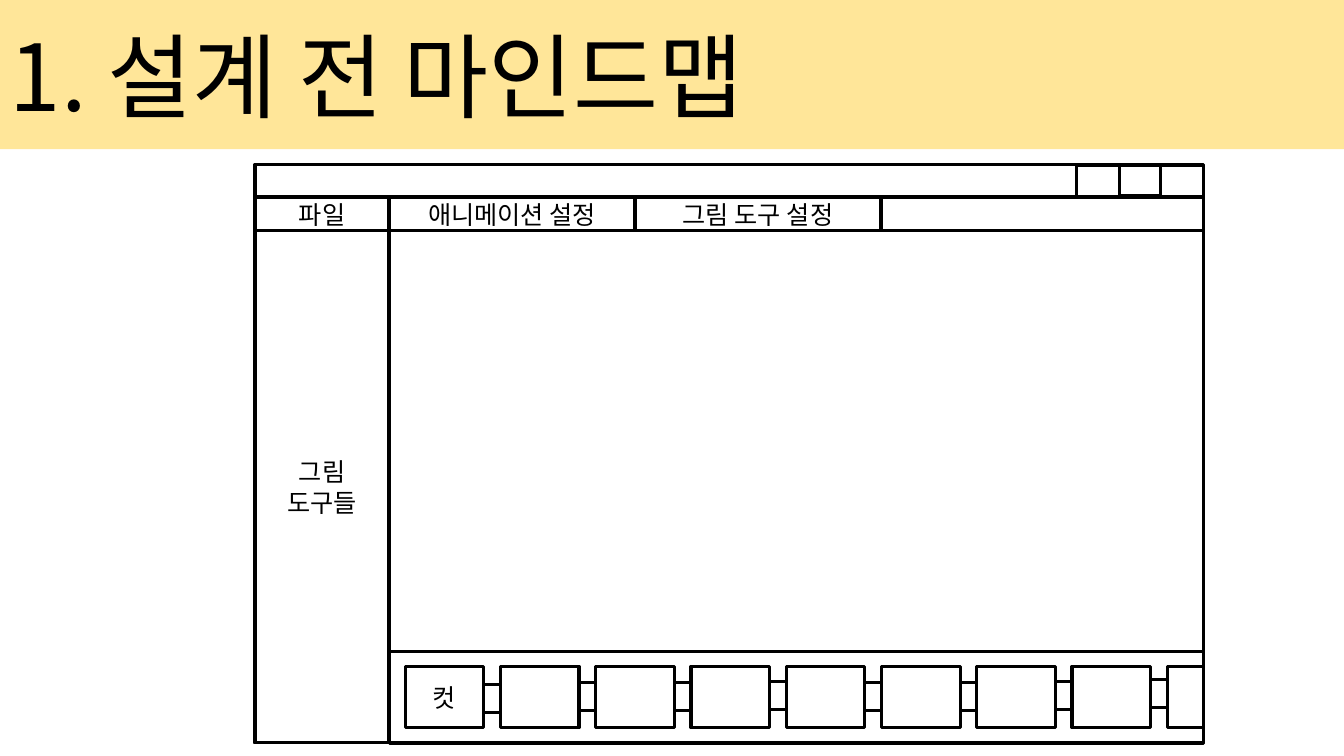
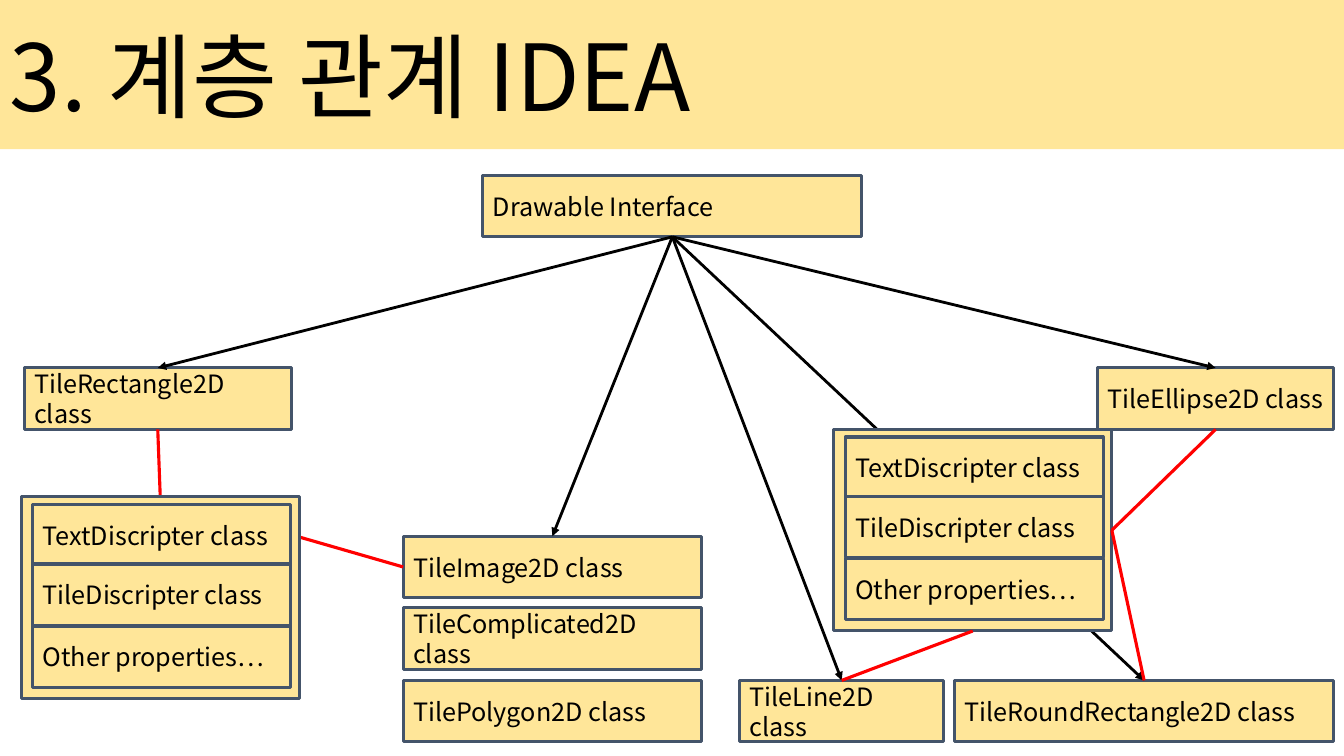
from lxml.etree import SubElement
from pptx import Presentation
from pptx.dml.color import RGBColor
from pptx.enum.shapes import MSO_CONNECTOR as Connector, MSO_SHAPE as Shape
from pptx.enum.text import MSO_ANCHOR as Anchor, PP_ALIGN as Align
from pptx.oxml.ns import qn
from pptx.util import Inches, Pt

BLACK = RGBColor(0x00, 0x00, 0x00)
RED = RGBColor(0xFF, 0x00, 0x00)
SAND = RGBColor(0xFF, 0xE6, 0x99)
SLATE = RGBColor(0x44, 0x54, 0x6A)
FONT = "Noto Sans CJK KR"
CELL = Inches(0.1)
COLUMNS, ROWS = 133.33, 75
BAND_ROWS = 14.8
BOX_ROWS = 6.1
TOP, LEFT, BOTTOM, RIGHT = range(4)
FRAME_FORMAT = {"word_wrap": True, "vertical_anchor": Anchor.MIDDLE}


def cells(*counts):
    return [int(count * CELL) for count in counts]


def set_format(target, values):
    for name, value in values.items():
        setattr(target, name, value)


class Sketch:
    def __init__(self):
        self.deck = Presentation()
        self.deck.slide_width, self.deck.slide_height = cells(COLUMNS, ROWS)
        self.page = None

    def add_page(self, title):
        self.page = self.deck.slides.add_slide(self.deck.slide_layouts[6])
        self.box(0, 0, COLUMNS, BAND_ROWS, title, fill=SAND, line=None, size=66)

    def box(self, column, row, width, height, text="", fill=None, line=BLACK,
            size=18, align=Align.LEFT):
        box = self.page.shapes.add_shape(
            Shape.RECTANGLE, *cells(column, row, width, height))
        box.shadow.inherit = False
        if fill is None:
            box.fill.background()
        else:
            box.fill.solid()
            box.fill.fore_color.rgb = fill
        if line is None:
            box.line.fill.background()
        else:
            box.line.color.rgb = line
            box.line.width = Pt(2.25)
        if text:
            self.add_text(box, text, size, align)
        return box

    def add_text(self, box, text, size, align):
        set_format(box.text_frame, FRAME_FORMAT)
        para = box.text_frame.paragraphs[0]
        para.alignment = align
        span = para.add_run()
        span.text = text
        set_format(span.font, {"name": FONT, "size": Pt(size)})
        span.font.color.rgb = BLACK
        SubElement(span.font._element, qn("a:ea"), typeface=FONT)

    def label(self, column, row, width, height, text):
        return self.box(column, row, width, height, text, align=Align.CENTER)

    def card(self, column, row, width, text="", height=BOX_ROWS):
        return self.box(column, row, width, height, text, fill=SAND, line=SLATE)

    def panel(self, column, row):
        frame = self.card(column, row, 27.6, height=20)
        parts = {"TextDiscripter class": 0.75, "TileDiscripter class": 6.65,
                 "Other properties…": 12.8}
        for text, offset in parts.items():
            self.card(column + 1.15, row + offset, 25.6, text)
        return frame

    def join(self, start, start_side, end, end_side, color, weight, arrow=False):
        line = self.page.shapes.add_connector(Connector.STRAIGHT, 0, 0, 0, 0)
        line.begin_connect(start, start_side)
        line.end_connect(end, end_side)
        line.line.color.rgb = color
        line.line.width = Pt(weight)
        shape_format = line._element.spPr
        if arrow:
            SubElement(shape_format.find(qn("a:ln")), qn("a:tailEnd"), type="triangle")
        SubElement(shape_format, qn("a:effectLst"))
        return line

    def arrow(self, parent, child):
        return self.join(parent, BOTTOM, child, TOP, BLACK, 2, arrow=True)

    def tie(self, owner, owner_side, panel, panel_side):
        return self.join(owner, owner_side, panel, panel_side, RED, 2.25)


def draw_mockup(sketch):
    sketch.add_page("1. 설계 전 마인드맵")
    left, menu, canvas, width = 25.3, 19.6, 22.9, 94.1
    sidebar = 13.3
    for area in [(left, menu, width, 54.1), (left, 16.3, width, 3.2),
                 (106.8, 16.4, 12.6, 3.1), (111.1, 16.3, 4, 3.1),
                 (left, menu, width, 3.3),
                 (left + sidebar, 64.6, width - sidebar, 9.2)]:
        sketch.box(*area)

    column = left
    for text, tab_width in [("파일", sidebar), ("애니메이션 설정", 24.4),
                            ("그림 도구 설정", 24.4)]:
        sketch.label(column, menu, tab_width, 3.3, text)
        column += tab_width
    sketch.label(left, canvas, sidebar, 50.8, "그림 도구들")

    first_cut, pitch, cut_width, cut_row = 40.2, 9.45, 7.8, 66.1
    joint_rows = [67.9, 67.7, 67.7, 67.6, 67.7, 67.7, 67.6, 67.4]
    for index, joint_row in enumerate(joint_rows):
        cut = first_cut + index * pitch
        sketch.label(cut, cut_row, cut_width, BOX_ROWS, "" if index else "컷")
        sketch.box(cut + cut_width, joint_row, pitch - cut_width, 2.8)
    sketch.box(first_cut + len(joint_rows) * pitch, cut_row, 3.6, BOX_ROWS)


def draw_hierarchy(sketch):
    sketch.add_page("3. 계층 관계 IDEA")
    upper, lower, middle = 36.5, 67.5, 40
    sketch.card(middle, 60.3, 29.6, "TileComplicated2D class")
    ellipse = sketch.card(108.9, upper, 23.4, "TileEllipse2D class")
    image = sketch.card(middle, 53.2, 29.6, "TileImage2D class")
    line = sketch.card(73.4, lower, 20.2, "TileLine2D class")
    sketch.card(middle, lower, 29.6, "TilePolygon2D class")
    rectangle = sketch.card(2.4, upper, 26.5, "TileRectangle2D class")
    rounded = sketch.card(94.7, lower, 37.6, "TileRoundRectangle2D class")
    drawable = sketch.card(47.9, 17.4, 37.6, "Drawable Interface")

    for child in (rectangle, image, line, rounded, ellipse):
        sketch.arrow(drawable, child)

    left_panel = sketch.panel(2.1, 49.3)
    for owner, side in [(rectangle, BOTTOM), (image, LEFT)]:
        tie = sketch.tie(owner, side, left_panel, TOP)
        left_panel._element.addprevious(tie._element)

    right_panel = sketch.panel(82.7, 42.6)
    for owner, side, panel_side in [(ellipse, BOTTOM, RIGHT), (rounded, TOP, RIGHT),
                                    (line, TOP, BOTTOM)]:
        sketch.tie(owner, side, right_panel, panel_side)


sketch = Sketch()
draw_mockup(sketch)
draw_hierarchy(sketch)
sketch.deck.save("out.pptx")
